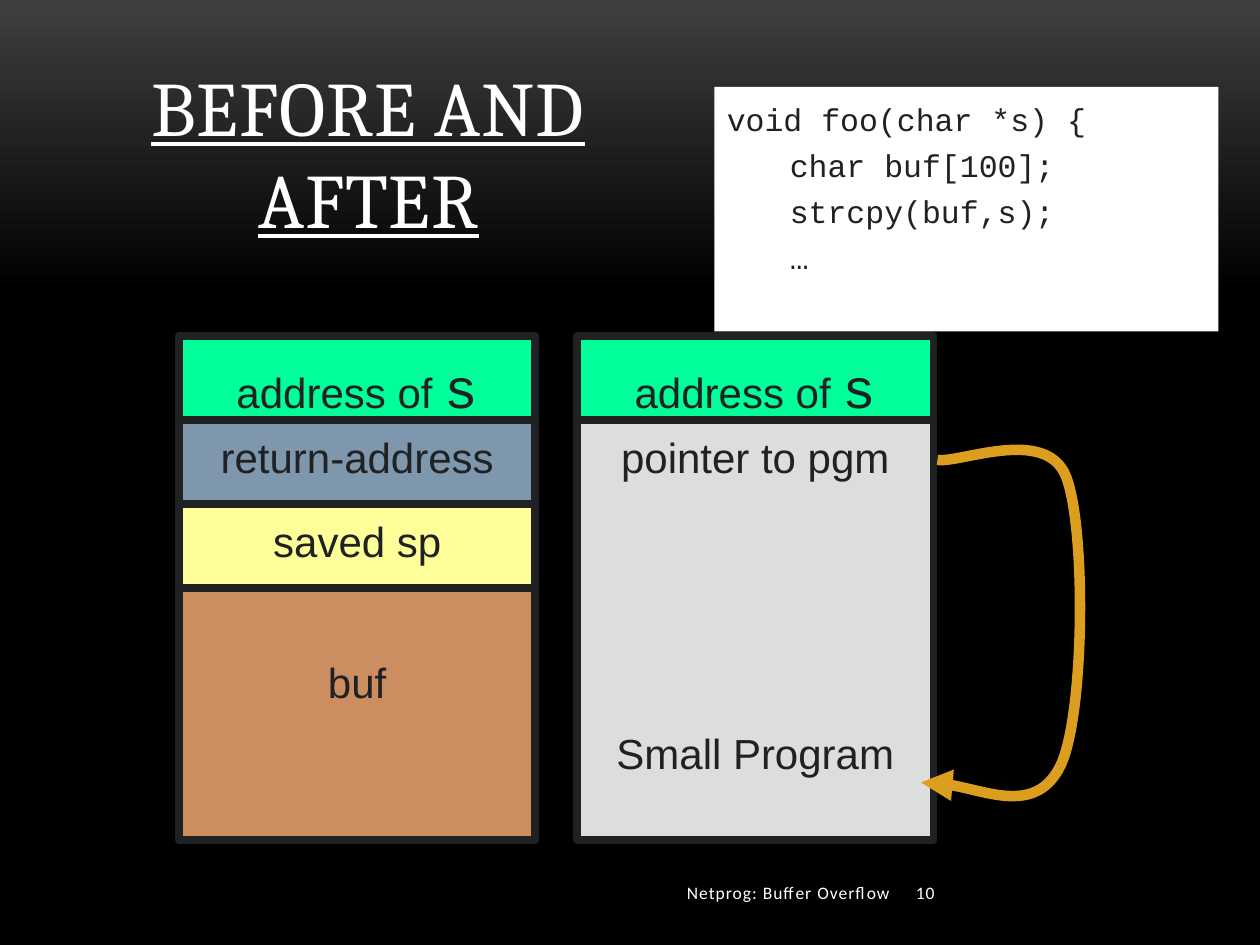
import lxml.etree
import pptx
import pptx.dml.color
import pptx.enum.shapes
import pptx.enum.text
import pptx.oxml.ns
import pptx.util
from dataclasses import dataclass

Inches = pptx.util.Inches
Pt = pptx.util.Pt
ALIGN = pptx.enum.text.PP_ALIGN
ANCHOR = pptx.enum.text.MSO_ANCHOR
qn = pptx.oxml.ns.qn


def rgb(value):
    return pptx.dml.color.RGBColor.from_string(value)


@dataclass(frozen=True)
class Theme:
    ink: str = "1F2123"
    light: str = "FFFFFF"
    back_top: str = "3F3F3F"
    back: str = "000000"
    argument: str = "00FF99"
    return_address: str = "7E97AD"
    saved: str = "FFFF99"
    buffer: str = "CC8E60"
    injected: str = "DDDDDD"
    arrow: str = "DC9E1F"
    title_font: str = "Cambria"
    label_font: str = "Arial"
    code_font: str = "Courier New"
    footer_font: str = "Calibri"
    title_size: float = 44
    label_size: float = 24
    symbol_size: float = 32
    code_size: float = 18
    footer_size: float = 10


class SlideBuilder:
    """Holds the theme and the slide being built."""

    def __init__(self, deck, theme):
        self.theme = theme
        self.slide = deck.slides.add_slide(deck.slide_layouts[5])

    def background(self):
        fill = self.slide.background.fill
        fill.gradient()
        fill.gradient_angle = 270
        colors = ((0, self.theme.back_top), (0.31, self.theme.back))
        for stop, (position, color) in zip(fill.gradient_stops, colors):
            stop.position = position
            stop.color.rgb = rgb(color)

    def frame(self, shape, top=0.05, anchor=ANCHOR.TOP):
        frame = shape.text_frame
        formats = {
            "word_wrap": True,
            "auto_size": pptx.enum.text.MSO_AUTO_SIZE.NONE,
            "vertical_anchor": anchor,
            "margin_left": Inches(0.1),
            "margin_right": Inches(0.1),
            "margin_top": Inches(top),
            "margin_bottom": Inches(0.05),
        }
        for name, value in formats.items():
            setattr(frame, name, value)
        return frame

    def paragraph(self, frame, runs, align, before=0):
        """Write runs of (text, font, size, color) as the next paragraph."""
        para = frame.paragraphs[0] if not frame.text else frame.add_paragraph()
        para.alignment = align
        para.space_before = Pt(before)
        for text, font, size, color in runs:
            span = para.add_run()
            span.text = text
            for name, value in {"name": font, "size": Pt(size)}.items():
                setattr(span.font, name, value)
            span.font.color.rgb = rgb(color)
        return para

    def letter_spacing(self, para, points):
        for span in para.runs:
            span.font._element.set("spc", str(int(points * 100)))

    def title(self, text, left, top, width, height):
        theme = self.theme
        shape = self.slide.shapes.title
        place = {"left": left, "top": top, "width": width, "height": height}
        for name, value in place.items():
            setattr(shape, name, Inches(value))
        run = (text, theme.title_font, theme.title_size, theme.light)
        para = self.paragraph(self.frame(shape), [run], ALIGN.CENTER)
        para.runs[0].font.underline = True
        self.letter_spacing(para, 0.5)

    def footer(self, text, left, width, align):
        theme = self.theme
        box = self.slide.shapes.add_textbox(
            Inches(left), Inches(6.83), Inches(width), Inches(0.5))
        run = (text, theme.footer_font, theme.footer_size, theme.light)
        para = self.paragraph(self.frame(box, anchor=ANCHOR.MIDDLE), [run], align)
        self.letter_spacing(para, 0.6)

    def rectangle(self, left, top, width, height, fill, line=None):
        box = self.slide.shapes.add_shape(
            pptx.enum.shapes.MSO_SHAPE.RECTANGLE,
            Inches(left), Inches(top), Inches(width), Inches(height))
        box.shadow.inherit = False
        box.fill.solid()
        box.fill.fore_color.rgb = rgb(fill)
        if line:
            box.line.color.rgb = rgb(line)
            box.line.width = Pt(4.5)
        else:
            box.line.fill.background()
        return box

    def code(self, lines, left, top, width, height):
        theme = self.theme
        box = self.rectangle(left, top, width, height, theme.light)
        frame = self.frame(box, top=0.1)
        for index, line in enumerate(lines):
            run = (line, theme.code_font, theme.code_size, theme.ink)
            self.paragraph(frame, [run], ALIGN.LEFT, 4.7 if index else 0)

    def stack_cell(self, left, top, height, fill, label,
                   symbol=None, inset=0.09, lower=None):
        """One memory cell; lower is a second label further down."""
        theme = self.theme
        box = self.rectangle(left, top, 2.83, height, fill, theme.ink)
        frame = self.frame(box, top=inset)
        style = (theme.label_font, theme.label_size, theme.ink)
        runs = [(label, *style)]
        if symbol:
            runs.append((symbol, theme.code_font, theme.symbol_size, theme.ink))
        self.paragraph(frame, runs, ALIGN.CENTER)
        if lower:
            self.paragraph(frame, [(lower, *style)], ALIGN.CENTER, 140.4)

    def curved_arrow(self, points):
        """Draw cubic curves: a start, then two controls and an end for each."""
        places = [(Inches(x), Inches(y)) for x, y in points]
        builder = self.slide.shapes.build_freeform(*places[0])
        builder.add_line_segments(places[1:], close=False)
        curve = builder.convert_to_shape()
        curve.shadow.inherit = False
        curve.fill.background()
        curve.line.color.rgb = rgb(self.theme.arrow)
        curve.line.width = Pt(6)
        # Turn each three straight segments into one cubic curve
        segments = list(curve._element.iter(qn("a:lnTo")))
        for start in range(0, len(segments), 3):
            cubic = lxml.etree.Element(qn("a:cubicBezTo"))
            segments[start].addprevious(cubic)
            for segment in segments[start:start + 3]:
                cubic.append(segment[0])
                segment.getparent().remove(segment)
        outline = curve._element.spPr.find(qn("a:ln"))
        lxml.etree.SubElement(outline, qn("a:tailEnd"), type="triangle")


def main():
    deck = pptx.Presentation()
    deck.slide_width = Inches(10)
    deck.slide_height = Inches(7.5)
    theme = Theme()
    page = SlideBuilder(deck, theme)

    # Background, title and footer
    page.background()
    page.title("BEFORE AND AFTER", 0.51, 0.42, 4.83, 1.44)
    page.footer("Netprog: Buffer Overflow", 2.08, 5.08, ALIGN.RIGHT)
    page.footer("10", 7.17, 2.08, ALIGN.LEFT)

    # Vulnerable function
    page.code(["void foo(char *s) {", "\tchar buf[100];", "\tstrcpy(buf,s);", "\t…"],
              5.67, 0.69, 4, 1.94)

    # Stack before and after: cells are piled from the top down
    row = 2 / 3
    argument = (row, theme.argument, "address of ", {"symbol": "s", "inset": 0.13})
    before = [
        argument,
        (row, theme.return_address, "return-address", {}),
        (row, theme.saved, "saved sp", {}),
        (3 * row, theme.buffer, "buf", {"inset": 0.54}),
    ]
    after = [
        argument,
        (5 * row, theme.injected, "pointer to pgm", {"lower": "Small Program"}),
    ]
    for left, cells in ((1.42, before), (4.58, after)):
        top = 4 * row
        for height, fill, label, options in cells:
            page.stack_cell(left, top, height, fill, label, **options)
            top += height

    # Jump from the overwritten pointer into the program
    page.curved_arrow([
        (7.44, 3.65),
        (7.61, 3.68), (8.3, 3.38), (8.46, 3.78),
        (8.62, 4.18), (8.61, 5.66), (8.42, 6.07),
        (8.23, 6.47), (7.54, 6.18), (7.31, 6.21),
    ])
    deck.save("out.pptx")


if __name__ == "__main__":
    main()
